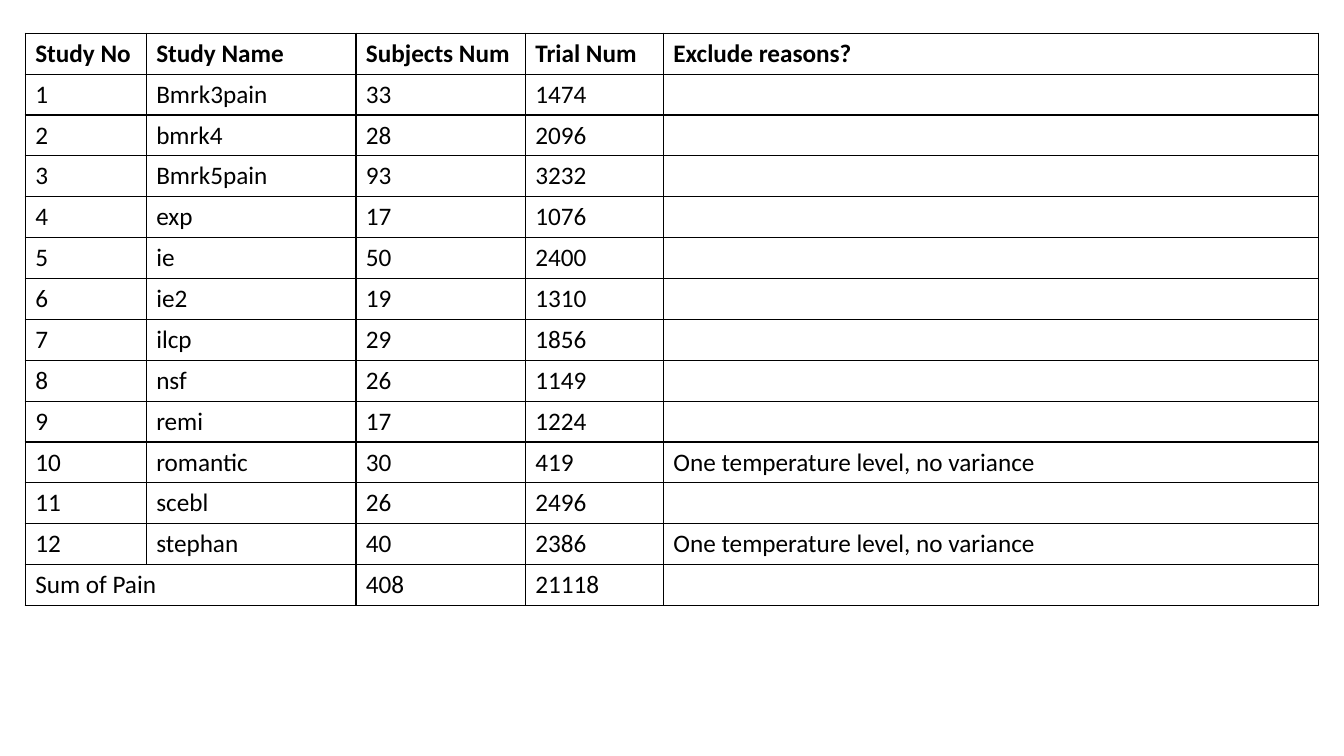
from dataclasses import dataclass

from lxml.etree import SubElement
from pptx import Presentation
from pptx.dml.color import RGBColor
from pptx.oxml.ns import qn
from pptx.util import Inches, Pt

SINGLE_LEVEL = "One temperature level, no variance"
HEADINGS = ("Study No", "Study Name", "Subjects Num", "Trial Num", "Exclude reasons?")
STUDIES = [
    ("Bmrk3pain", 33, 1474, ""),
    ("bmrk4", 28, 2096, ""),
    ("Bmrk5pain", 93, 3232, ""),
    ("exp", 17, 1076, ""),
    ("ie", 50, 2400, ""),
    ("ie2", 19, 1310, ""),
    ("ilcp", 29, 1856, ""),
    ("nsf", 26, 1149, ""),
    ("remi", 17, 1224, ""),
    ("romantic", 30, 419, SINGLE_LEVEL),
    ("scebl", 26, 2496, ""),
    ("stephan", 40, 2386, SINGLE_LEVEL),
]
TOTAL_LABEL = "Sum of Pain"
COLUMN_WIDTHS = (1.2, 2.08, 1.68, 1.37, 6.5)
LEFT, TOP, HEIGHT = 0.25, 0.33, 5.68


@dataclass(frozen=True)
class Theme:
    font: str = "Calibri"
    size: int = 18
    ink: str = "000000"
    border: int = 1


THEME = Theme()


def study_rows():
    """Number the studies and frame them with the headings and the totals."""
    numbered = [(number, *study) for number, study in enumerate(STUDIES, start=1)]
    subjects = sum(study[1] for study in STUDIES)
    trials = sum(study[2] for study in STUDIES)
    return [HEADINGS, *numbered, (TOTAL_LABEL, "", subjects, trials, "")]


def draw_borders(cell):
    properties = cell._tc.get_or_add_tcPr()
    for side in ("lnL", "lnR", "lnT", "lnB"):
        line = SubElement(properties, qn(f"a:{side}"), w=str(Pt(THEME.border)))
        fill = SubElement(line, qn("a:solidFill"))
        SubElement(fill, qn("a:srgbClr"), val=THEME.ink)


def write_cell(cell, value, bold):
    para = cell.text_frame.paragraphs[0]
    para.font.size = Pt(THEME.size)
    if value == "":
        return
    span = para.add_run()
    span.text = str(value)
    span.font.name = THEME.font
    span.font.size = Pt(THEME.size)
    span.font.bold = bold
    span.font.color.rgb = RGBColor.from_string(THEME.ink)


def add_study_table(page):
    rows = study_rows()
    frame = page.shapes.add_table(
        len(rows), len(HEADINGS),
        Inches(LEFT), Inches(TOP), Inches(sum(COLUMN_WIDTHS)), Inches(HEIGHT),
    )
    table = frame.table
    table.first_row = table.horz_banding = False
    for column, width in zip(table.columns, COLUMN_WIDTHS):
        column.width = Inches(width)
    for row_index, values in enumerate(rows):
        table.rows[row_index].height = Inches(HEIGHT / len(rows))
        for column_index, value in enumerate(values):
            cell = table.cell(row_index, column_index)
            draw_borders(cell)
            cell.fill.background()
            write_cell(cell, value, bold=row_index == 0)
    last = len(rows) - 1
    table.cell(last, 0).merge(table.cell(last, 1))


def main():
    deck = Presentation()
    deck.slide_width, deck.slide_height = Inches(13.33), Inches(7.5)
    page = deck.slides.add_slide(deck.slide_layouts[6])
    add_study_table(page)
    deck.save("out.pptx")


if __name__ == "__main__":
    main()
